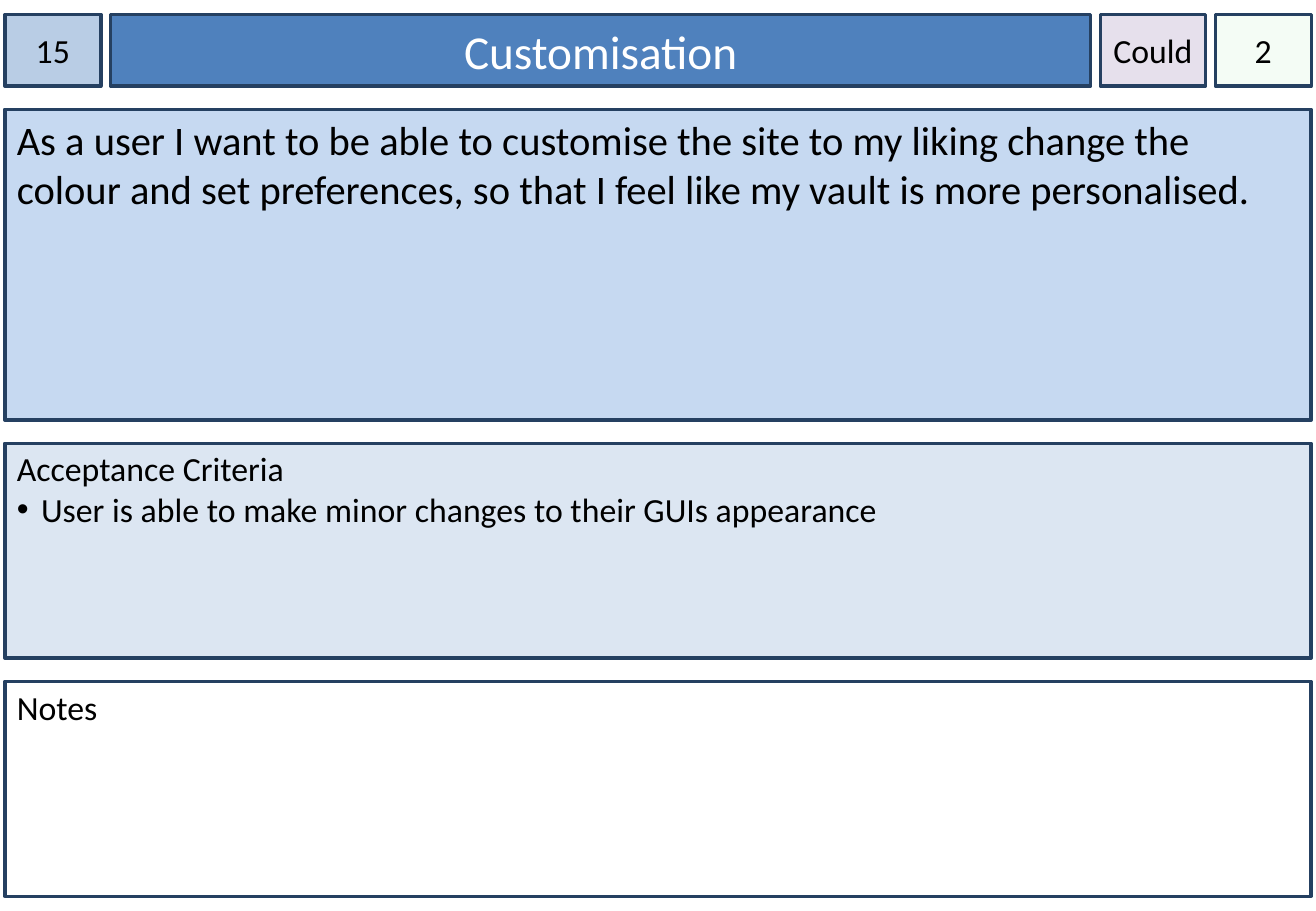
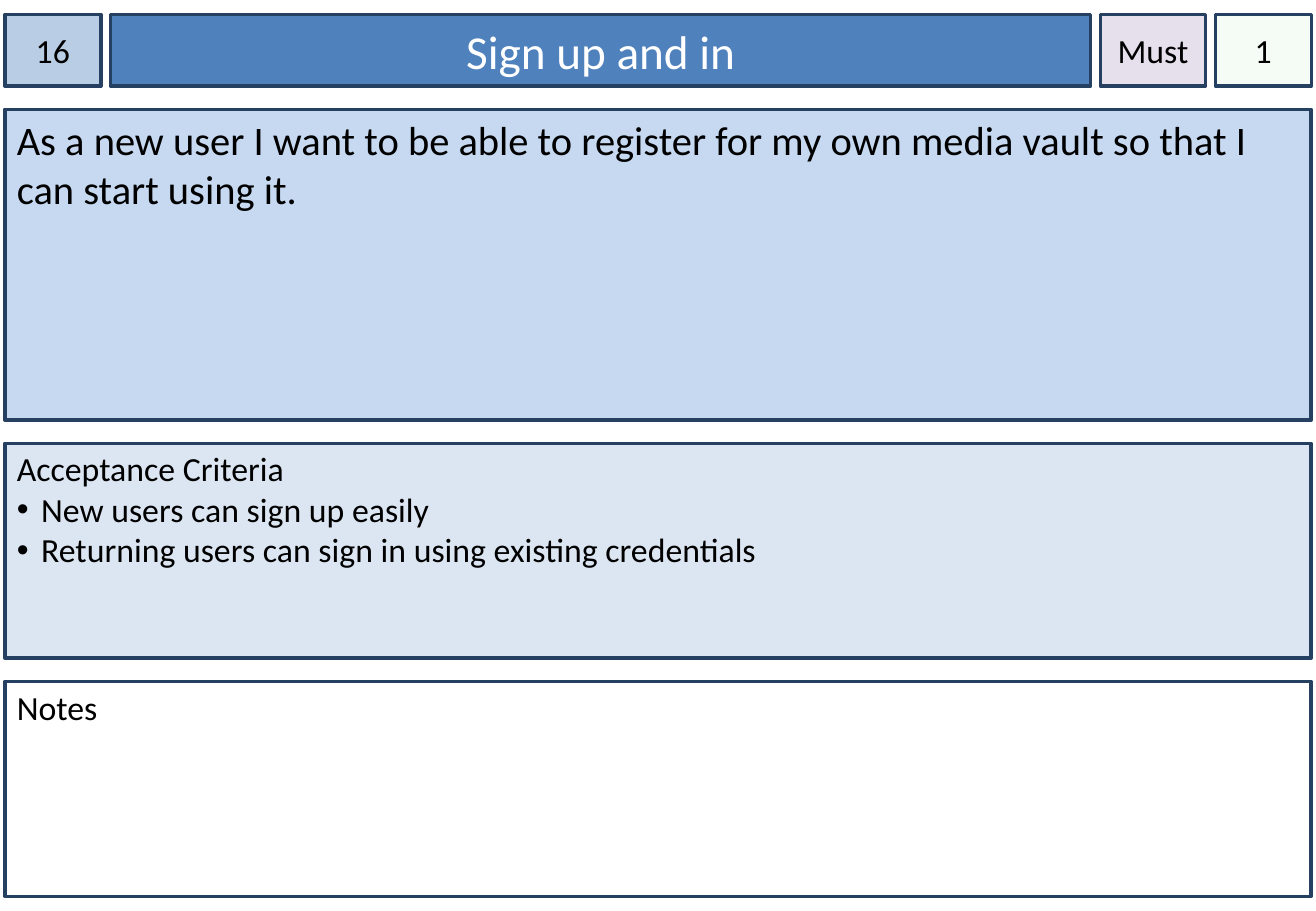
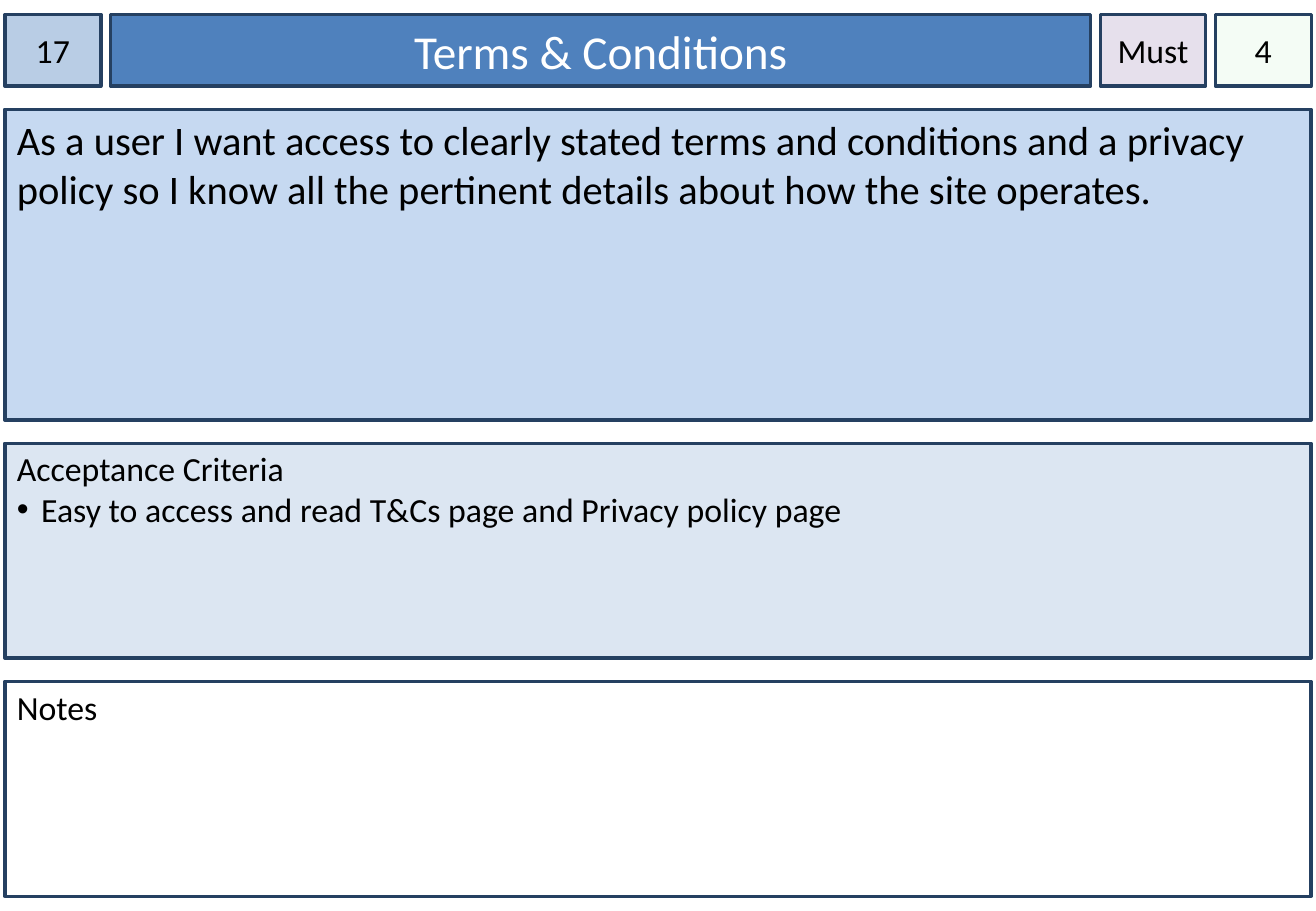
from dataclasses import dataclass, field

from lxml.etree import SubElement
from pptx import Presentation
from pptx.dml.color import RGBColor
from pptx.enum.shapes import MSO_SHAPE as Preset
from pptx.enum.text import MSO_ANCHOR as Anchor, MSO_AUTO_SIZE as AutoSize, PP_ALIGN as Align
from pptx.oxml.ns import qn
from pptx.shapes.autoshape import Shape
from pptx.slide import Slide
from pptx.util import Pt

COLOURS = {
    "border": "254061",
    "text": "000000",
    "title_text": "FFFFFF",
    "number": "B9CDE5",
    "title": "4F81BD",
    "priority": "E6E0EC",
    "estimate": "CCF0CD",
    "story": "C6D9F1",
    "criteria": "DCE6F2",
    "notes": "FFFFFF",
}
FONT = "Calibri"
SLIDE_WIDTH, SLIDE_HEIGHT = 780, 540
MARGIN = 2.9
CONTENT_WIDTH = SLIDE_WIDTH - 2 * MARGIN
HEADER_TOP, HEADER_HEIGHT, HEADER_GAP = 8.6, 42.5, 5.7
PANEL_GAP = 13.7
INDENT = 14.4

FRAME = {
    "word_wrap": True,
    "auto_size": AutoSize.NONE,
    "vertical_anchor": Anchor.TOP,
    "margin_left": Pt(7.2),
    "margin_right": Pt(7.2),
    "margin_top": Pt(3.6),
    "margin_bottom": Pt(3.6),
}
CENTRED = {"vertical_anchor": Anchor.MIDDLE}
BADGE = CENTRED | {"margin_left": 0, "margin_right": 0}
NOTE = {"margin_top": Pt(2.9)}


@dataclass(frozen=True)
class Box:
    role: str
    left: float
    top: float
    width: float
    height: float
    frame: dict = field(default_factory=dict)
    size: float = 20
    align: Align = Align.LEFT
    text_colour: str = "text"
    opacity: int = 100


@dataclass(frozen=True)
class Story:
    number: str
    title: str
    priority: str
    estimate: str
    story: str
    criteria: tuple[str, ...]


def header_boxes() -> list[Box]:
    cells = (
        ("number", 56.9, {"frame": BADGE}),
        ("title", 581, {"frame": CENTRED, "size": 28, "text_colour": "title_text"}),
        ("priority", 62.4, {"frame": BADGE | {"word_wrap": False}}),
        ("estimate", 56.9, {"frame": BADGE, "opacity": 20}),
    )
    boxes, left = [], MARGIN
    for role, width, options in cells:
        boxes.append(Box(role, left, HEADER_TOP, width, HEADER_HEIGHT, align=Align.CENTER, **options))
        left += width + HEADER_GAP
    return boxes


def panel_boxes() -> list[Box]:
    panels = (
        ("story", 184.3, {"size": 24}),
        ("criteria", 127.4, {"frame": NOTE}),
        ("notes", 127.4, {"frame": NOTE}),
    )
    boxes, top = [], HEADER_TOP + HEADER_HEIGHT + PANEL_GAP
    for role, height, options in panels:
        boxes.append(Box(role, MARGIN, top, CONTENT_WIDTH, height, **options))
        top += height + PANEL_GAP
    return boxes


def colour(name: str) -> RGBColor:
    return RGBColor.from_string(COLOURS[name])


def paint(shape: Shape, box: Box) -> None:
    shape.fill.solid()
    shape.fill.fore_color.rgb = colour(box.role)
    if box.opacity < 100:
        tint = shape.element.spPr.find(qn("a:solidFill"))[0]
        SubElement(tint, qn("a:alpha"), val=str(box.opacity * 1000))
    shape.line.color.rgb = colour("border")
    shape.line.width = Pt(2)
    shape.shadow.inherit = False


def write(shape: Shape, box: Box, lead: str, bullets: tuple[str, ...]) -> None:
    frame = shape.text_frame
    for attribute, value in (FRAME | box.frame).items():
        setattr(frame, attribute, value)
    frame.text = "\n".join((lead, *bullets))
    font_format = {"name": FONT, "size": Pt(box.size)}
    for position, paragraph in enumerate(frame.paragraphs):
        paragraph.alignment = box.align
        font = paragraph.runs[0].font
        for attribute, value in font_format.items():
            setattr(font, attribute, value)
        font.color.rgb = colour(box.text_colour)
        if position:
            properties = paragraph._p.get_or_add_pPr()
            properties.set("marL", str(Pt(INDENT)))
            properties.set("indent", str(-Pt(INDENT)))
            SubElement(properties, qn("a:buFont"), typeface="Arial")
            SubElement(properties, qn("a:buChar"), char="•")


def draw_box(slide: Slide, box: Box, lead: str, bullets: tuple[str, ...] = ()) -> None:
    place = {side: Pt(getattr(box, side)) for side in ("left", "top", "width", "height")}
    if box.role == "title":
        shape = slide.shapes.title
        for side, length in place.items():
            setattr(shape, side, length)
    else:
        shape = slide.shapes.add_shape(Preset.RECTANGLE, *place.values())
    paint(shape, box)
    write(shape, box, lead, bullets)


def draw_card(slide: Slide, card: Story) -> None:
    headings = {"criteria": "Acceptance Criteria", "notes": "Notes"}
    for box in header_boxes() + panel_boxes():
        lead = headings.get(box.role) or getattr(card, box.role)
        draw_box(slide, box, lead, card.criteria if box.role == "criteria" else ())


STORIES = (
    Story(
        "15", "Customisation", "Could", "2",
        "As a user I want to be able to customise the site to my liking change the colour "
        "and set preferences, so that I feel like my vault is more personalised.",
        ("User is able to make minor changes to their GUIs appearance",),
    ),
    Story(
        "16", "Sign up and in", "Must", "1",
        "As a new user I want to be able to register for my own media vault so that I can "
        "start using it.",
        ("New users can sign up easily", "Returning users can sign in using existing credentials"),
    ),
    Story(
        "17", "Terms & Conditions", "Must", "4",
        "As a user I want access to clearly stated terms and conditions and a privacy policy "
        "so I know all the pertinent details about how the site operates.",
        ("Easy to access and read T&Cs page and Privacy policy page",),
    ),
)

deck = Presentation()
deck.slide_width, deck.slide_height = Pt(SLIDE_WIDTH), Pt(SLIDE_HEIGHT)
title_only = deck.slide_layouts.get_by_name("Title Only")
for story in STORIES:
    draw_card(deck.slides.add_slide(title_only), story)
deck.save("out.pptx")
